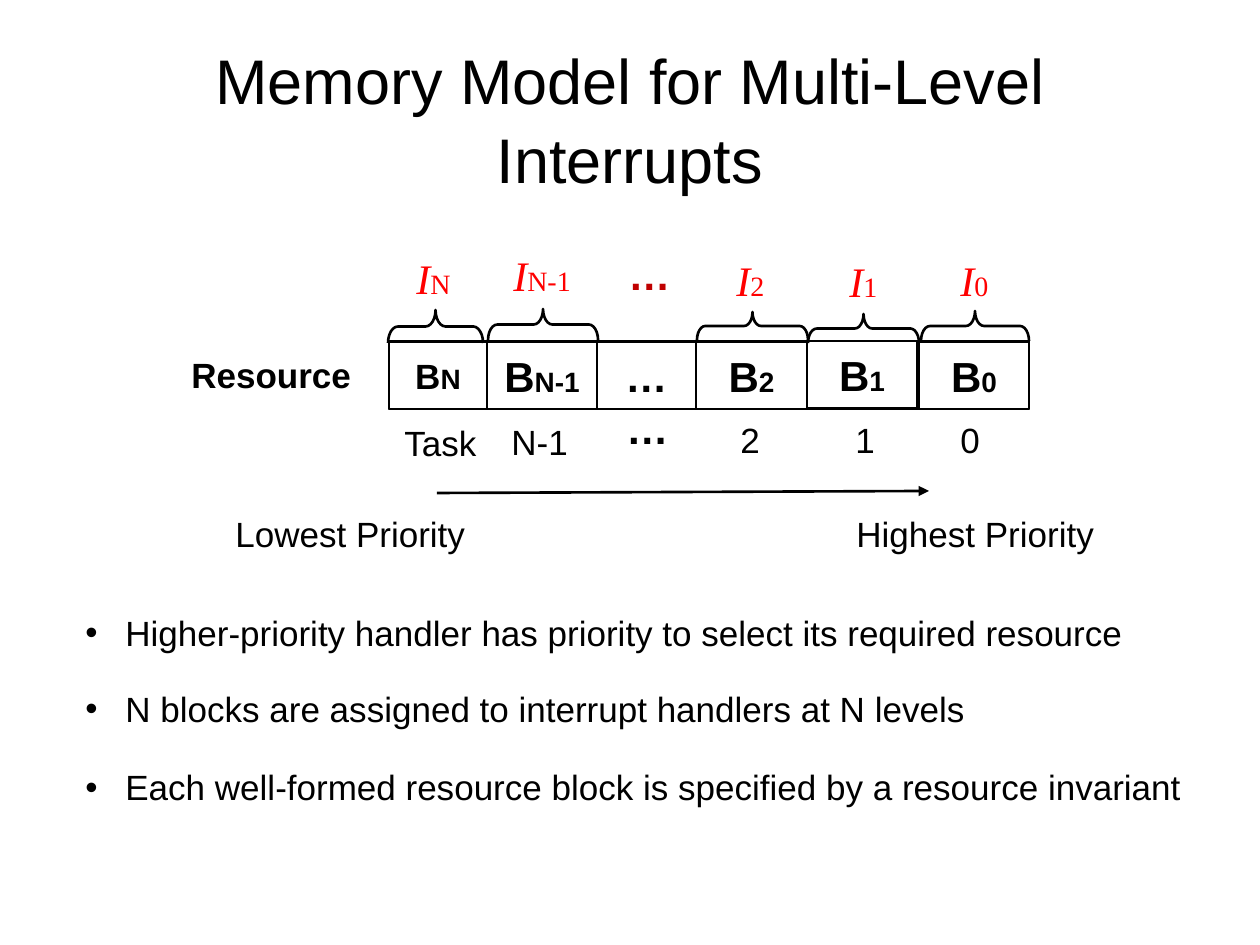
from lxml.etree import SubElement
from pptx import Presentation
from pptx.dml.color import RGBColor
from pptx.enum.shapes import MSO_CONNECTOR, MSO_SHAPE
from pptx.enum.text import MSO_ANCHOR, MSO_AUTO_SIZE, PP_ALIGN
from pptx.oxml.ns import qn
from pptx.util import Emu, Pt

BLACK = RGBColor(0x00, 0x00, 0x00)
WHITE = RGBColor(0xFF, 0xFF, 0xFF)
GRAY = RGBColor(0x80, 0x80, 0x80)
RED = RGBColor(0xFF, 0x00, 0x00)
DARK_RED = RGBColor(0xC0, 0x00, 0x00)
SCALE = 914400 / 126


def px(*lengths):
    return [Emu(round(length * SCALE)) for length in lengths]


def add_runs(paragraph, parts, color=BLACK, font="Arial", bold=False):
    for text, size, italic in parts:
        run = paragraph.add_run()
        run.text = text
        run.font.name = font
        run.font.size = Pt(size)
        run.font.bold = bold
        run.font.italic = italic
        run.font.color.rgb = color


presentation = Presentation()
presentation.slide_width, presentation.slide_height = px(1260, 945)
slide = presentation.slides.add_slide(presentation.slide_layouts[5])
shapes = slide.shapes

title = shapes.title
title.left, title.top, title.width, title.height = px(63, 38, 1134, 158)
title.text_frame.word_wrap = True
title.text_frame.auto_size = MSO_AUTO_SIZE.NONE
title.text_frame.vertical_anchor = MSO_ANCHOR.MIDDLE
title_paragraph = title.text_frame.paragraphs[0]
title_paragraph.alignment = PP_ALIGN.CENTER
title_paragraph.line_spacing = 1.05
add_runs(title_paragraph, [("Memory Model for Multi-Level Interrupts", 36, False)])

bullet_box = shapes.add_textbox(*px(73, 573, 1134, 277))
bullet_frame = bullet_box.text_frame
bullet_frame.word_wrap = True
bullet_frame.margin_top = px(39)[0]
bullets = [
    ("Higher-priority handler has priority to select its required resource", 0),
    ("N blocks are assigned to interrupt handlers at N levels", 19),
    ("Each well-formed resource block is specified by a resource invariant", 21),
]
for index, (text, space_before) in enumerate(bullets):
    paragraph = bullet_frame.add_paragraph() if index else bullet_frame.paragraphs[0]
    paragraph.space_before = Pt(space_before)
    properties = paragraph._p.get_or_add_pPr()
    indent = px(40)[0]
    properties.set("marL", str(indent))
    properties.set("indent", str(-indent))
    SubElement(properties, qn("a:buFont"), typeface="Arial")
    SubElement(properties, qn("a:buChar"), char="•")
    add_runs(paragraph, [(text, 20, False)])

memory = shapes.add_shape(MSO_SHAPE.RECTANGLE, *px(389, 341, 640, 68))
memory.shadow.inherit = False
memory.fill.solid()
memory.fill.fore_color.rgb = GRAY
memory.line.color.rgb = BLACK
memory.line.width = Pt(1)

blocks = [
    ("N", 20, (389, 342, 98, 67), (388, 310, 95, 33)),
    ("N-1", 24, (487, 342, 110, 67), (488, 309, 110, 31)),
    (None, 24, (597, 342, 99, 67), None),
    ("2", 24, (696, 342, 111, 67), (697, 312, 111, 28)),
    ("1", 24, (807, 341, 110, 67), (808, 314, 111, 29)),
    ("0", 24, (919, 342, 110, 67), (921, 311, 108, 30)),
]
for subscript, size, bounds, brace_bounds in blocks:
    block = shapes.add_shape(MSO_SHAPE.RECTANGLE, *px(*bounds))
    block.shadow.inherit = False
    block.fill.solid()
    block.fill.fore_color.rgb = WHITE
    block.line.color.rgb = BLACK
    block.line.width = Pt(1)
    block.text_frame.vertical_anchor = MSO_ANCHOR.MIDDLE
    paragraph = block.text_frame.paragraphs[0]
    paragraph.alignment = PP_ALIGN.CENTER
    parts = [("B", size, False), (subscript, 16, False)] if subscript else [("…", size, False)]
    add_runs(paragraph, parts, bold=True)
    if brace_bounds:
        left, top, width, height = brace_bounds
        brace = shapes.add_shape(
            MSO_SHAPE.LEFT_BRACE,
            *px(left + (width - height) / 2, top + (height - width) / 2, height, width),
        )
        brace.rotation = 90
        brace.adjustments[0] = 0.3
        brace.shadow.inherit = False
        brace.fill.background()
        brace.line.color.rgb = BLACK
        brace.line.width = Pt(1.5)

invariants = [
    ("N", (404, 246, 62, 63)),
    ("N-1", (501, 243, 90, 63)),
    ("2", (724, 248, 56, 63)),
    ("1", (837, 249, 56, 63)),
    ("0", (948, 248, 56, 63)),
]
labels = [
    (bounds, [("I", 24, True), (subscript, 16, False)], RED, "Times New Roman", False)
    for subscript, bounds in invariants
]
labels += [
    ((616, 242, 70, 63), [("…", 24, False)], DARK_RED, "Arial", True),
    ((614, 396, 70, 63), [("…", 24, False)], BLACK, "Arial", True),
    ((179, 347, 192, 55), [("Resource", 20, False)], BLACK, "Arial", True),
]
captions = [
    ("Task", (392, 415, 101, 55)),
    ("N-1", (499, 414, 88, 55)),
    ("2", (728, 412, 50, 55)),
    ("1", (843, 412, 50, 55)),
    ("0", (948, 412, 50, 55)),
    ("Lowest Priority", (223, 506, 265, 55)),
    ("Highest Priority", (844, 506, 276, 55)),
]
labels += [(bounds, [(text, 20, False)], BLACK, "Arial", False) for text, bounds in captions]
for bounds, parts, color, font, bold in labels:
    label = shapes.add_textbox(*px(*bounds))
    label.text_frame.word_wrap = True
    add_runs(label.text_frame.paragraphs[0], parts, color, font, bold)

arrow = shapes.add_connector(MSO_CONNECTOR.STRAIGHT, *px(437, 493, 929, 491))
arrow.line.color.rgb = BLACK
arrow.line.width = Pt(1.5)
SubElement(arrow.line._get_or_add_ln(), qn("a:tailEnd"), type="triangle")
SubElement(arrow._element.spPr, qn("a:effectLst"))

presentation.save("out.pptx")
